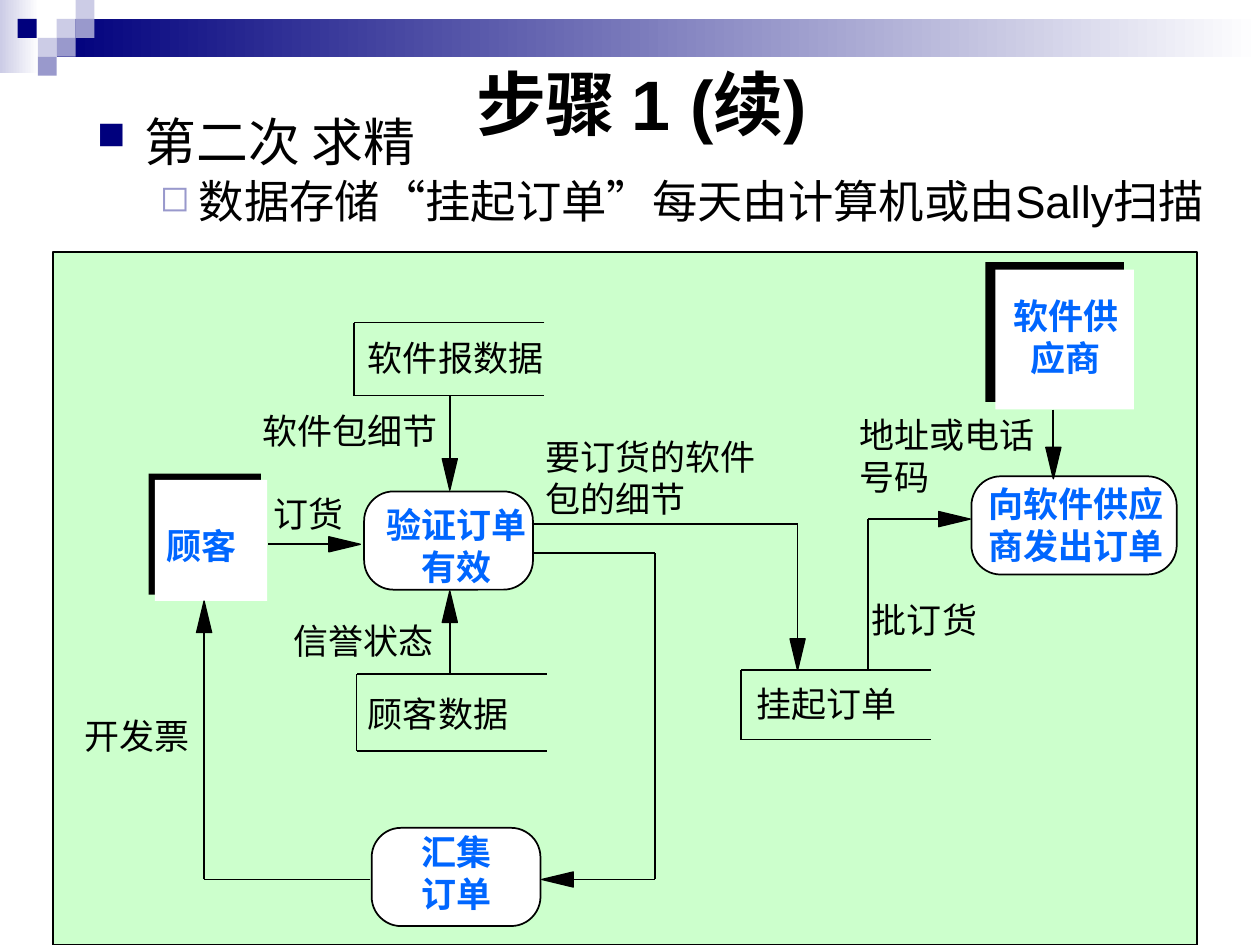
import math
from itertools import pairwise

from lxml import etree
from pptx import Presentation
from pptx import util as u
from pptx.dml.color import RGBColor
from pptx.enum import shapes, text
from pptx.oxml.ns import qn

COLORS = {
    "navy": "00007D", "violet": "9999CC", "lilac": "CCCCE6", "white": "FFFFFF",
    "black": "000000", "green": "CCFFCC", "blue": "0066FF",
}


class SlideBuilder:
    font = "Arial"
    label_size = 20
    line_width = 1
    head_length = 0.25
    head_width = 0.12

    def __init__(self, slide):
        self.slide = slide

    def color(self, name):
        return RGBColor.from_string(COLORS[name])

    def place(self, item, left, top, width, height):
        item.left, item.top = u.Inches(left), u.Inches(top)
        item.width, item.height = u.Inches(width), u.Inches(height)

    def span(self, para, words, size, color="black", bold=False, font=None):
        span = para.add_run()
        span.text = words
        span.font.name = font or self.font
        span.font.size = u.Pt(size)
        span.font.bold = bold
        span.font.color.rgb = self.color(color)

    def shape(self, left, top, width, height, fill, outlined=False, rounded=False):
        kind = shapes.MSO_SHAPE.ROUNDED_RECTANGLE if rounded else shapes.MSO_SHAPE.RECTANGLE
        shape = self.slide.shapes.add_shape(
            kind, u.Inches(left), u.Inches(top), u.Inches(width), u.Inches(height))
        if rounded:
            shape.adjustments[0] = 0.3
        self.finish(shape, fill, self.line_width if outlined else 0)
        return shape

    def finish(self, shape, fill, line_width):
        shape.shadow.inherit = False
        shape.fill.solid()
        shape.fill.fore_color.rgb = self.color(fill)
        if line_width:
            shape.line.color.rgb = self.color("black")
            shape.line.width = u.Pt(line_width)
        else:
            shape.line.fill.background()

    def gradient(self, left, top, width, height, start):
        shape = self.shape(left, top, width, height, start)
        shape.fill.gradient()
        shape.fill.gradient_angle = 0
        for stop, name in zip(shape.fill.gradient_stops, (start, "white")):
            stop.color.rgb = self.color(name)

    def title(self, words):
        title = self.slide.shapes.title
        self.place(title, 0.59, 0.21, 9, 1.2)
        title.text_frame.vertical_anchor = text.MSO_ANCHOR.MIDDLE
        para = title.text_frame.paragraphs[0]
        para.alignment = text.PP_ALIGN.CENTER
        self.span(para, words, 40, bold=True)

    def text_box(self, left, top, width, height):
        box = self.slide.shapes.add_textbox(
            u.Inches(left), u.Inches(top), u.Inches(width), u.Inches(height))
        box.text_frame.word_wrap = True
        return box.text_frame

    def bullet(self, para, level, mark, color, percent, margin, hanging):
        para.level = level
        props = para._p.get_or_add_pPr()
        props.set("marL", str(u.Inches(margin)))
        props.set("indent", str(-u.Inches(hanging)))
        para.line_spacing = 0.8
        tint = etree.SubElement(props, qn("a:buClr"))
        etree.SubElement(tint, qn("a:srgbClr")).set("val", COLORS[color])
        etree.SubElement(props, qn("a:buSzPct")).set("val", str(percent * 1000))
        etree.SubElement(props, qn("a:buChar")).set("char", mark)

    def label(self, left, top, width, *lines, heading=False, font=None, height=0.33):
        frame = self.text_box(left, top, width, height)
        frame.margin_left = frame.margin_right = frame.margin_top = frame.margin_bottom = 0
        for index, line in enumerate(lines):
            para = frame.add_paragraph() if index else frame.paragraphs[0]
            if heading and height > 0.5:
                para.alignment = text.PP_ALIGN.CENTER
            self.span(para, line, self.label_size, "blue" if heading else "black", heading, font)

    def line(self, start, end):
        line = self.slide.shapes.add_connector(
            shapes.MSO_CONNECTOR.STRAIGHT, *(u.Inches(value) for value in (*start, *end)))
        line.line.color.rgb = self.color("black")
        line.line.width = u.Pt(self.line_width)
        etree.SubElement(line._element.spPr, qn("a:effectLst"))

    def flow(self, *points):
        (x0, y0), (tip_x, tip_y) = points[-2:]
        length = math.dist(*points[-2:])
        dx, dy = (tip_x - x0) / length, (tip_y - y0) / length
        base_x, base_y = tip_x - dx * self.head_length, tip_y - dy * self.head_length
        for start, end in pairwise((*points[:-1], (base_x, base_y))):
            self.line(start, end)
        half = self.head_width / 2
        outline = self.slide.shapes.build_freeform(
            u.Inches(tip_x), u.Inches(tip_y), scale=1.0)
        corners = [(base_x - side * dy * half, base_y + side * dx * half) for side in (1, -1)]
        outline.add_line_segments([(u.Inches(x), u.Inches(y)) for x, y in corners], close=True)
        self.finish(outline.convert_to_shape(), "black", 0.75)

    def store(self, left, top, height, width=1.51):
        right, bottom = left + width, top + height
        corners = (right, top), (left, top), (left, bottom), (right, bottom)
        for start, end in pairwise(corners):
            self.line(start, end)

    def entity(self, left, top, width, height, offset_x, offset_y):
        self.shape(left, top, width, height, "black")
        self.shape(left + offset_x, top + offset_y, width, height, "white")

    def process(self, left, top, width=1.34):
        self.shape(left, top, width, 0.78, "white", outlined=True, rounded=True)


def main():
    deck = Presentation()
    deck.slide_width, deck.slide_height = u.Inches(10), u.Inches(7.5)
    page = SlideBuilder(deck.slides.add_slide(deck.slide_layouts[5]))

    page.gradient(0, 0, 0.31, 0.58, "lilac")
    page.gradient(0.45, 0.15, 9.55, 0.3, "navy")
    tiles = [(0.45, 0.15, "lilac"), (0.6, 0, "lilac"), (0.6, 0.15, "violet"),
             (0.3, 0.3, "lilac"), (0.14, 0.15, "navy"), (0.45, 0.3, "violet"),
             (0.3, 0.45, "violet")]
    for left, top, color in tiles:
        page.shape(left, top, 0.15, 0.15, color)

    page.title("步骤 1 (续)")
    body = page.text_box(0.67, 0.92, 9.33, 1.08)
    topic = body.paragraphs[0]
    page.bullet(topic, 0, "■", "navy", 75, 0.38, 0.38)
    page.span(topic, "第二次 求精", 29.6)
    detail = body.add_paragraph()
    detail.space_before = u.Pt(7)
    page.bullet(detail, 1, "◻", "violet", 80, 0.81, 0.31)
    page.span(detail, "数据存储“挂起订单”每天由计算机或由Sally扫描", 25.9)

    page.shape(0.42, 2, 9.08, 5.5, "green", outlined=True)
    page.process(2.89, 3.9)
    page.process(7.71, 3.78, 1.63)
    page.process(2.95, 6.57)
    page.entity(1.18, 3.76, 0.89, 0.96, 0.05, 0.05)
    page.entity(7.82, 2.08, 1.1, 1.11, 0.08, 0.06)
    page.store(2.83, 5.35, 0.61)
    page.store(2.81, 2.56, 0.58)
    page.store(5.88, 5.32, 0.55)

    page.flow((2.13, 4.32), (2.86, 4.32))
    page.flow((3.57, 3.14), (3.57, 3.89))
    page.flow((3.57, 5.35), (3.57, 4.69))
    page.flow((8.36, 3.25), (8.36, 3.8))
    page.flow((6.89, 5.32), (6.89, 4.12), (7.7, 4.12))
    page.flow((4.22, 4.16), (6.33, 4.16), (6.33, 5.32))
    page.flow((4.24, 4.39), (5.2, 4.39), (5.2, 6.98), (4.3, 6.98))
    page.flow((2.94, 6.98), (1.62, 6.98), (1.62, 4.77))

    page.label(1.32, 4.16, 0.76, "顾客", heading=True)
    page.label(3, 4, 1.25, "验证订单", "有效", heading=True, height=0.67)
    page.label(3, 6.59, 1.25, "汇集", "订单", heading=True, font="Times New Roman", height=0.67)
    page.label(7.75, 3.83, 1.58, "向软件供应商发出订单", heading=True, height=0.67)
    page.label(7.92, 2.34, 1.08, "软件供应商", heading=True, height=0.67)
    page.label(2.92, 2.67, 1.92, "软件报数据")
    page.label(2.08, 3.25, 1.42, "软件包细节")
    page.label(2.92, 5.5, 1.92, "顾客数据")
    page.label(2.33, 4.92, 1.25, "信誉状态")
    page.label(0.67, 5.67, 1.25, "开发票")
    page.label(6, 5.42, 1.92, "挂起订单")
    page.label(4.33, 3.46, 1.92, "要订货的软件包的细节", height=0.67)
    page.label(6.92, 4.75, 1.25, "批订货")
    page.label(6.82, 3.28, 1.48, "地址或电话号码", height=0.67)
    page.label(2.17, 3.91, 0.85, "订货")

    deck.save("out.pptx")


if __name__ == "__main__":
    main()
